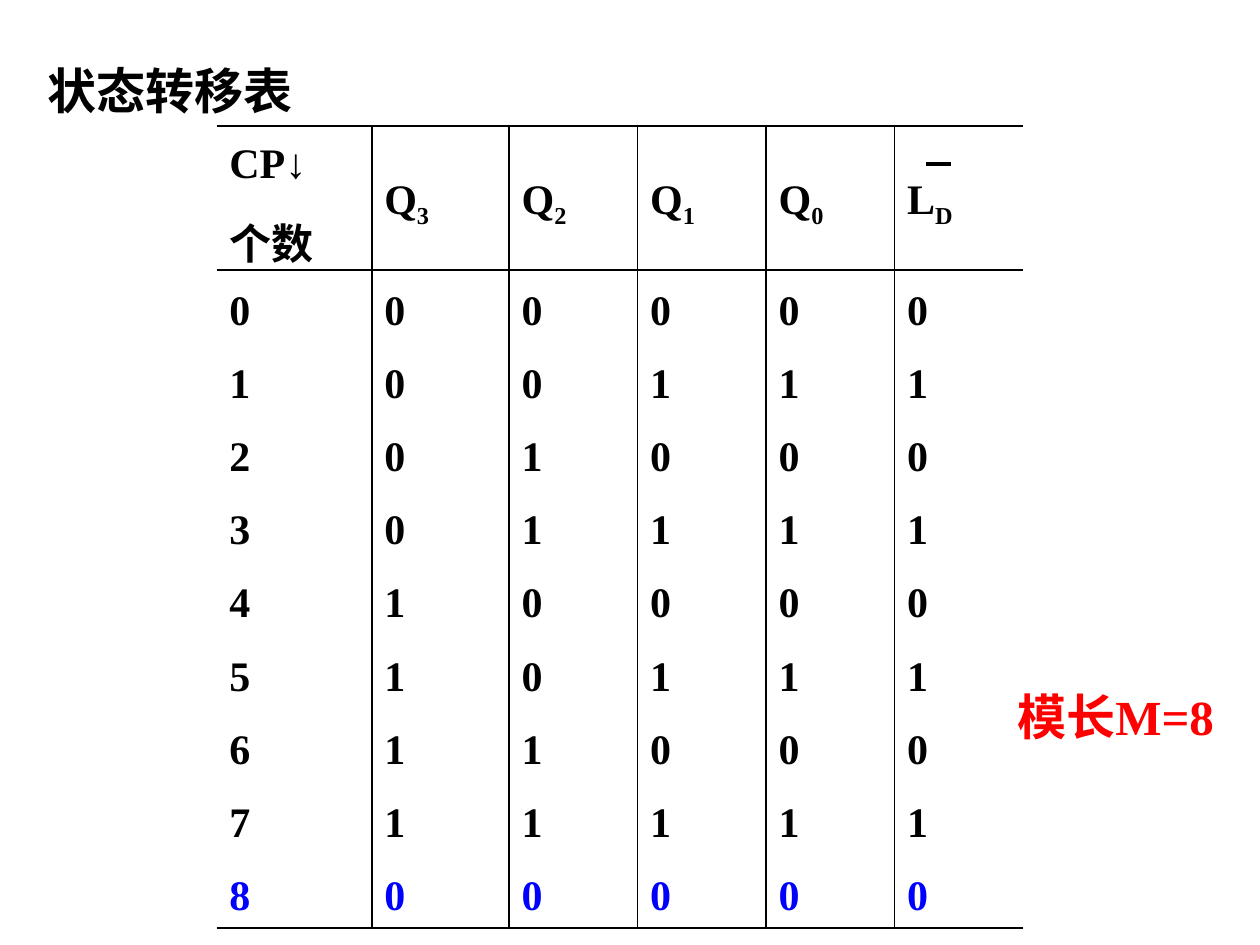
from lxml import etree
from pptx import Presentation
from pptx.dml.color import RGBColor
from pptx.enum import shapes, text
from pptx.oxml import ns
from pptx.util import Inches, Pt


def tint(code):
    return RGBColor.from_string(code)


class Page:
    """Hold the style and the current slide, and draw each kind of element."""

    latin, asian, ink = "Times New Roman", "Noto Sans CJK SC", "000000"

    def __init__(self, deck):
        self.slide = deck.slides.add_slide(deck.slide_layouts[5])

    def style(self, run, size, color, name=None):
        run.font.size, run.font.bold = Pt(size), True
        run.font.name = name or self.latin
        run.font.color.rgb = tint(color)
        props = run._r.get_or_add_rPr()
        etree.SubElement(props, ns.qn("a:ea"), typeface=self.asian)

    def title(self, words, left, top, width, height):
        box = self.slide.shapes.title
        box.left, box.top = Inches(left), Inches(top)
        box.width, box.height = Inches(width), Inches(height)
        frame = box.text_frame
        frame.text = words
        frame.auto_size = text.MSO_AUTO_SIZE.SHAPE_TO_FIT_TEXT
        frame.vertical_anchor = text.MSO_ANCHOR.TOP
        line = frame.paragraphs[0]
        line.alignment = text.PP_ALIGN.LEFT
        self.style(line.runs[0], 28, self.ink, self.asian)

    def note(self, words, left, top, width, height, color):
        box = self.slide.shapes.add_textbox(
            Inches(left), Inches(top), Inches(width), Inches(height))
        frame = box.text_frame
        frame.text = words
        frame.word_wrap = False
        frame.auto_size = text.MSO_AUTO_SIZE.SHAPE_TO_FIT_TEXT
        line = frame.paragraphs[0]
        line.alignment = text.PP_ALIGN.CENTER
        self.style(line.runs[0], 28, color)

    def bar(self, left, top, width):
        line = self.slide.shapes.add_connector(
            shapes.MSO_CONNECTOR.STRAIGHT, Inches(left), Inches(top),
            Inches(left + width), Inches(top))
        line.line.color.rgb = tint(self.ink)
        line.line.width = Pt(2.25)
        etree.SubElement(line._element.spPr, ns.qn("a:effectLst"))

    def edges(self, cell, sides):
        props = cell._tc.get_or_add_tcPr()
        for side in "LRTB":
            edge = etree.SubElement(props, ns.qn(f"a:ln{side}"), w=str(Pt(1.08)))
            if side in sides:
                fill = etree.SubElement(edge, ns.qn("a:solidFill"))
                etree.SubElement(fill, ns.qn("a:srgbClr"), val=self.ink)
            else:
                etree.SubElement(edge, ns.qn("a:noFill"))

    def cell(self, cell, words, sub, color, sides):
        self.edges(cell, sides)
        cell.fill.background()
        cell.vertical_anchor = text.MSO_ANCHOR.MIDDLE
        frame = cell.text_frame
        frame.text = words
        if sub:
            run = frame.paragraphs[0].add_run()
            run.text = sub
            run._r.get_or_add_rPr().set("baseline", "-25000")
        for i, line in enumerate(frame.paragraphs):
            line.line_spacing = 1.2
            line.space_before = Pt(6 if i else 0)
            for run in line.runs:
                self.style(run, 24, color)

    def table(self, rows, left, top, widths, heights, last):
        grid = self.slide.shapes.add_table(
            len(rows), len(widths), Inches(left), Inches(top),
            Inches(sum(widths)), Inches(sum(heights))).table
        grid.first_row = grid.horz_banding = False
        for col, width in zip(grid.columns, widths):
            col.width = Inches(width)
        for row, height in zip(grid.rows, heights):
            row.height = Inches(height)
        end, edge = len(rows) - 1, len(widths) - 1
        for r, row in enumerate(rows):
            for c, (words, sub) in enumerate(row):
                sides = ("L" if c else "") + ("R" if c < edge else "")
                sides += ("T" if r < 2 else "") + ("B" if r in (0, end) else "")
                color = last if r == end else self.ink
                self.cell(grid.cell(r, c), words, sub, color, sides)


def states():
    head = [("CP↓\n个数", "")] + [("Q", n) for n in "3210"] + [("L", "D")]
    rows = [head]
    for n in range(9):
        high, mid, low = f"{n % 8:03b}"
        rows.append([(v, "") for v in (str(n), high, mid, low, low, low)])
    return rows


def main():
    deck = Presentation()
    deck.slide_width, deck.slide_height = Inches(10), Inches(7.5)
    page = Page(deck)
    page.title("状态转移表", 0.28, 0.43, 4.17, 0.57)
    page.table(states(), 1.72, 1, [1.23, 1.09] + [1.02] * 4,
               [1.14] + [0.58] * 9, "0000FF")
    page.bar(7.35, 1.3, 0.2)
    page.note("模长M=8", 7.93, 5.4, 1.85, 0.57, "FF0000")
    deck.save("out.pptx")


if __name__ == "__main__":
    main()
